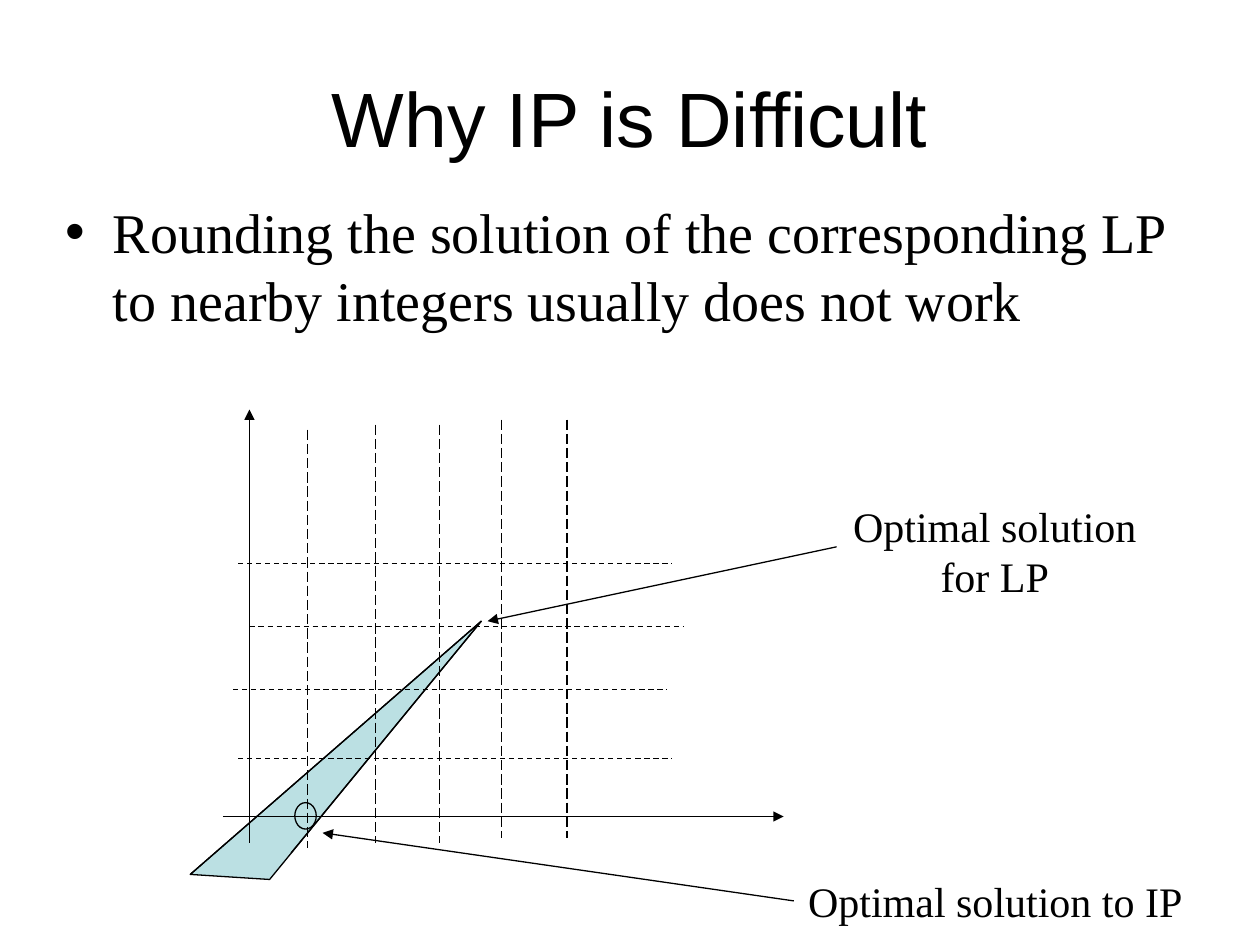
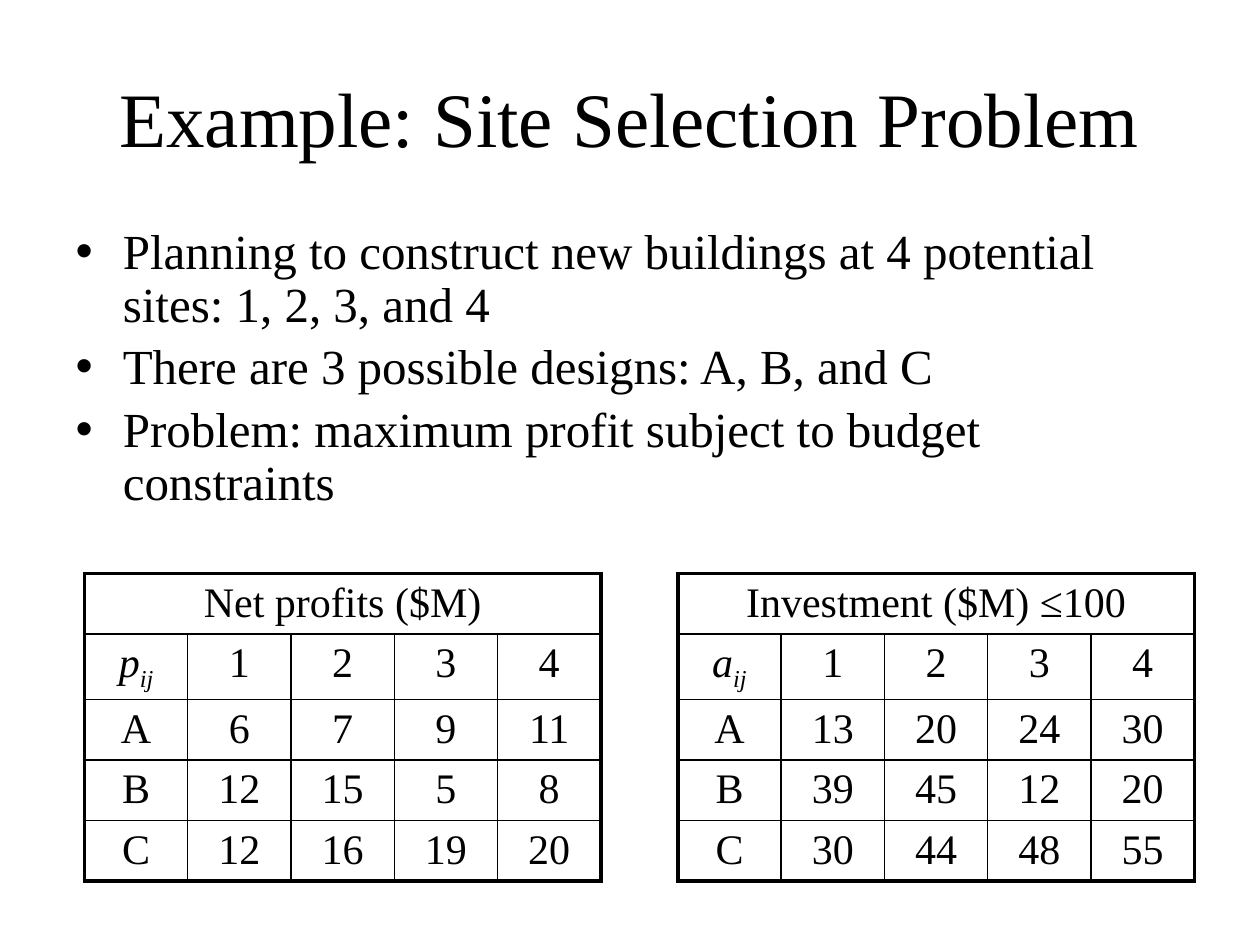
from dataclasses import dataclass

from lxml import etree
from pptx import Presentation
from pptx.dml.color import RGBColor
from pptx.enum.dml import MSO_LINE
from pptx.enum.shapes import MSO_CONNECTOR, MSO_SHAPE
from pptx.enum.text import MSO_ANCHOR, MSO_AUTO_SIZE, PP_ALIGN
from pptx.oxml.ns import qn
from pptx.util import Inches, Pt

CENTER = PP_ALIGN.CENTER
MIDDLE = MSO_ANCHOR.MIDDLE
FIXED_SIZE = MSO_AUTO_SIZE.NONE
GROW = MSO_AUTO_SIZE.SHAPE_TO_FIT_TEXT
STRAIGHT = MSO_CONNECTOR.STRAIGHT
OVAL = MSO_SHAPE.OVAL
DASH = MSO_LINE.DASH
LONG_DASH = MSO_LINE.LONG_DASH

# Shared look
BLACK = "000000"
REGION_FILL = "BBE0E3"
SERIF = "Times New Roman"
SANS = "Arial"
TITLE_SIZE = 44
LABEL_SIZE = 24
LINE_WIDTH = 0.75
TITLE_BOX = (0.5, 0.3, 9, 1.25)

# Table look
COLUMN_WIDTH = 0.82
ROW_HEIGHT = 0.48
INNER_BORDER = 1
OUTER_BORDER = 2.25

# Grid of integer points
GRID_HEIGHT = 3.32
GRID_WIDTH = 3.44


@dataclass
class Segment:
    start: tuple
    end: tuple
    dash: object = None
    arrow: bool = False


@dataclass
class Label:
    text: str
    box: tuple


@dataclass
class CostTable:
    heading: str
    symbol: str
    left: float
    values: dict


LP_OPTIMUM = (3.82, 4.93)
REGION_LEFT = (1.51, 6.94)
REGION = [REGION_LEFT, LP_OPTIMUM, (2.14, 6.98)]

AXES = [
    Segment((1.77, 6.48), (6.22, 6.48), arrow=True),
    Segment((1.98, 6.69), (1.98, 3.25), arrow=True),
]
VERTICAL_GRID = [
    Segment((x, top), (x, top + GRID_HEIGHT), LONG_DASH)
    for x, top in [(2.44, 3.41), (2.98, 3.37), (3.49, 3.37), (3.98, 3.33), (4.5, 3.33)]
]
HORIZONTAL_GRID = [
    Segment((left, y), (left + GRID_WIDTH, y), DASH)
    for left, y in [(1.85, 5.47), (1.89, 6.02), (1.98, 4.97), (1.89, 4.47)]
]
CONSTRAINTS = [Segment(REGION_LEFT, LP_OPTIMUM), Segment((2.31, 6.77), LP_OPTIMUM)]
POINTERS = [
    Segment((6.64, 4.34), (3.87, 4.93), arrow=True),
    Segment((6.3, 7.15), (2.56, 6.61), arrow=True),
]
LABELS = [
    Label("Optimal solution for LP", (6.55, 3.92, 2.69, 0.9)),
    Label("Optimal solution to IP", (6.22, 6.9, 3.36, 0.5)),
]
TABLES = [
    CostTable("Net profits ($M)", "p", 0.67,
              {"A": [6, 7, 9, 11], "B": [12, 15, 5, 8], "C": [12, 16, 19, 20]}),
    CostTable("Investment ($M) ≤100", "a", 5.38,
              {"A": [13, 20, 24, 30], "B": [39, 45, 12, 20], "C": [30, 44, 48, 55]}),
]


def color(value: str) -> RGBColor:
    return RGBColor.from_string(value)


def inches(values: tuple) -> list:
    return [Inches(value) for value in values]


def style_paragraph(paragraph, size: float, name: str = SERIF) -> None:
    for font in (paragraph.font, *(run.font for run in paragraph.runs)):
        font.size = Pt(size)
        font.name = name
        font.color.rgb = color(BLACK)


def place(shape, box: tuple) -> None:
    shape.left, shape.top, shape.width, shape.height = inches(box)


def set_outline(shape) -> None:
    shape.line.color.rgb = color(BLACK)
    shape.line.width = Pt(LINE_WIDTH)


def add_slide(presentation, title: str, title_font: str, items: list,
              body_box: tuple, body_size: float, line_spacing: float):
    slide = presentation.slides.add_slide(presentation.slide_layouts[1])
    title_shape, body = slide.placeholders
    place(title_shape, TITLE_BOX)
    title_frame = title_shape.text_frame
    title_frame.text = title
    title_frame.auto_size = FIXED_SIZE
    title_frame.vertical_anchor = MIDDLE
    title_frame.paragraphs[0].alignment = CENTER
    style_paragraph(title_frame.paragraphs[0], TITLE_SIZE, title_font)

    place(body, body_box)
    body.text_frame.text = "\n".join(items)
    body.text_frame.auto_size = FIXED_SIZE
    for paragraph in body.text_frame.paragraphs:
        paragraph.line_spacing = line_spacing
        style_paragraph(paragraph, body_size)
    return slide


def add_segment(slide, segment: Segment) -> None:
    connector = slide.shapes.add_connector(
        STRAIGHT, *inches(segment.start), *inches(segment.end))
    set_outline(connector)
    if segment.dash is not None:
        connector.line.dash_style = segment.dash
    properties = connector._element.spPr
    if segment.arrow:
        etree.SubElement(properties.find(qn("a:ln")), qn("a:tailEnd"), type="triangle")
    etree.SubElement(properties, qn("a:effectLst"))


def add_label(slide, label: Label) -> None:
    frame = slide.shapes.add_textbox(*inches(label.box)).text_frame
    frame.word_wrap = True
    frame.auto_size = GROW
    frame.text = label.text
    frame.paragraphs[0].alignment = CENTER
    style_paragraph(frame.paragraphs[0], LABEL_SIZE)


def add_region(slide, points: list) -> None:
    start, *others = [tuple(inches(point)) for point in points]
    builder = slide.shapes.build_freeform(*start)
    builder.add_line_segments(others, close=True)
    region = builder.convert_to_shape()
    region.shadow.inherit = False
    region.fill.solid()
    region.fill.fore_color.rgb = color(REGION_FILL)
    set_outline(region)


def set_borders(cell, outer_sides: dict) -> None:
    properties = cell._tc.get_or_add_tcPr()
    for side, is_outer in outer_sides.items():
        width = Pt(OUTER_BORDER if is_outer else INNER_BORDER)
        line = etree.SubElement(properties, qn(f"a:ln{side}"), w=str(width))
        fill = etree.SubElement(line, qn("a:solidFill"))
        etree.SubElement(fill, qn("a:srgbClr"), val=BLACK)


def add_cost_table(slide, data: CostTable) -> None:
    rows = [[data.heading], [data.symbol, 1, 2, 3, 4]]
    rows += [[design, *values] for design, values in data.values.items()]
    row_count, column_count = len(rows), len(rows[-1])
    frame = slide.shapes.add_table(
        row_count, column_count, Inches(data.left), Inches(4.55),
        Inches(COLUMN_WIDTH * column_count), Inches(ROW_HEIGHT * row_count))
    table = frame.table
    table.first_row = table.horz_banding = False
    for column in table.columns:
        column.width = Inches(COLUMN_WIDTH)
    for row in table.rows:
        row.height = Inches(ROW_HEIGHT)
    table.cell(0, 0).merge(table.cell(0, column_count - 1))

    for row_index, row in enumerate(rows):
        for column_index in range(column_count):
            cell = table.cell(row_index, column_index)
            set_borders(cell, {
                "L": column_index == 0,
                "R": row_index == 0 or column_index == column_count - 1,
                "T": row_index == 0,
                "B": row_index == row_count - 1,
            })
            cell.fill.background()
            if column_index < len(row):
                cell.text = str(row[column_index])
                paragraph = cell.text_frame.paragraphs[0]
                paragraph.alignment = CENTER
                style_paragraph(paragraph, LABEL_SIZE)

    # Symbol with its subscript
    paragraph = table.cell(1, 0).text_frame.paragraphs[0]
    subscript = paragraph.add_run()
    subscript.text = "ij"
    subscript._r.get_or_add_rPr().set("baseline", "-25000")
    style_paragraph(paragraph, LABEL_SIZE)
    for run in paragraph.runs:
        run.font.italic = True


def build_difficulty_slide(presentation) -> None:
    slide = add_slide(
        presentation, "Why IP is Difficult", SANS,
        ["Rounding the solution of the corresponding LP to nearby integers "
         "usually does not work"],
        (0.42, 1.52, 9, 1.67), 32, 1.0)
    add_region(slide, REGION)
    for segment in AXES + VERTICAL_GRID + HORIZONTAL_GRID + CONSTRAINTS + POINTERS:
        add_segment(slide, segment)
    for label in LABELS:
        add_label(slide, label)

    # Circle around the integer optimum
    circle = slide.shapes.add_shape(OVAL, *inches((2.34, 6.37, 0.17, 0.21)))
    circle.shadow.inherit = False
    circle.fill.background()
    set_outline(circle)


def build_site_slide(presentation) -> None:
    slide = add_slide(
        presentation, "Example: Site Selection Problem", SERIF,
        ["Planning to construct new buildings at 4 potential sites: 1, 2, 3, and 4",
         "There are 3 possible designs: A, B, and C",
         "Problem: maximum profit subject to budget constraints"],
        (0.5, 1.75, 9, 2.5), 28, 0.9)
    for data in TABLES:
        add_cost_table(slide, data)


def main() -> None:
    presentation = Presentation()
    presentation.slide_width = Inches(10)
    presentation.slide_height = Inches(7.5)
    build_difficulty_slide(presentation)
    build_site_slide(presentation)
    presentation.save("out.pptx")


if __name__ == "__main__":
    main()
